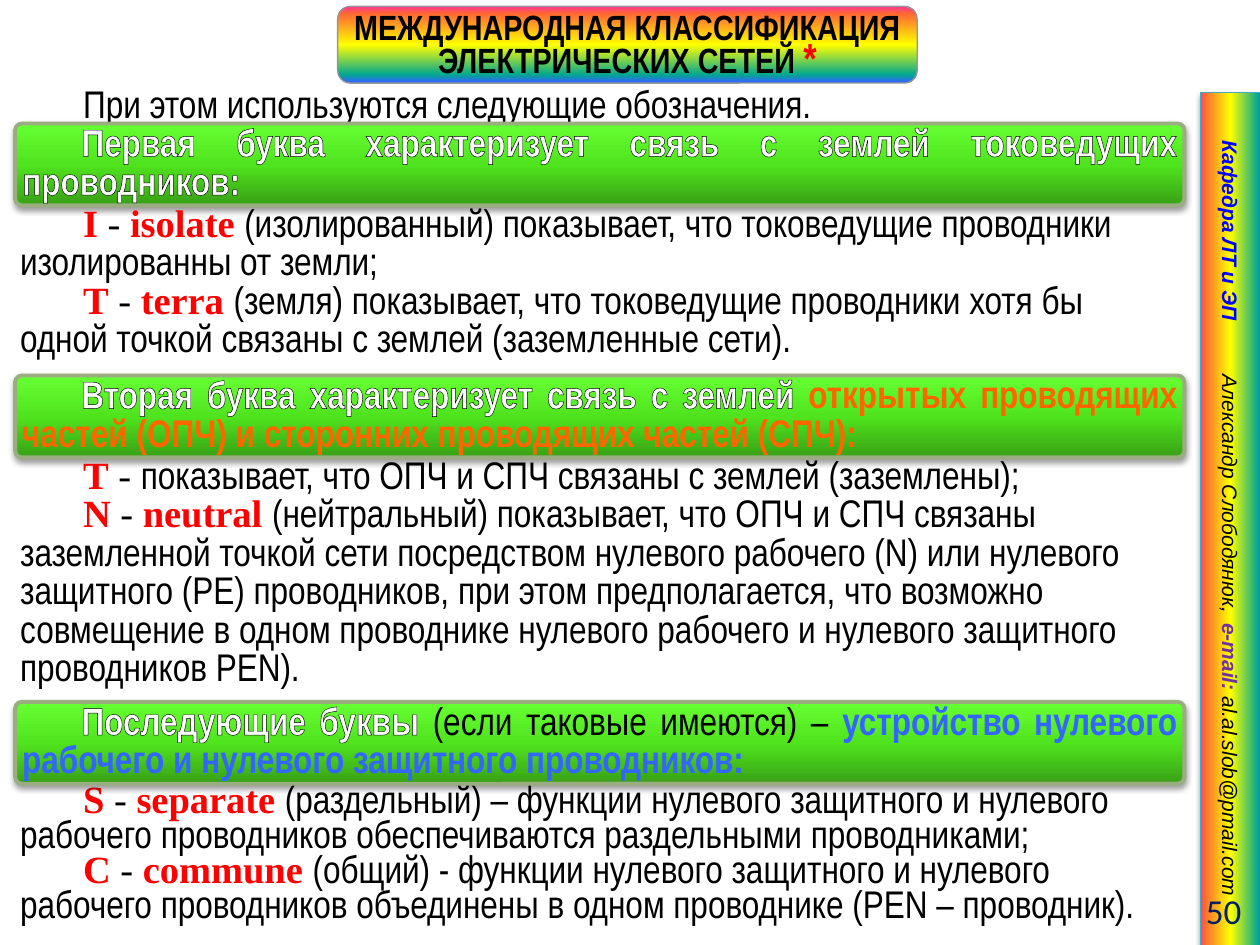
from dataclasses import dataclass

from lxml.etree import SubElement
from pptx import Presentation
from pptx.dml.color import RGBColor
from pptx.enum.shapes import MSO_SHAPE
from pptx.enum.text import MSO_ANCHOR, MSO_AUTO_SIZE, PP_ALIGN
from pptx.oxml.ns import qn
from pptx.util import Inches, Pt

BLACK = RGBColor(0x00, 0x00, 0x00)
WHITE = RGBColor(0xFF, 0xFF, 0xFF)
RED = RGBColor(0xFF, 0x00, 0x00)
ORANGE = RGBColor(0xFF, 0x66, 0x00)
BLUE = RGBColor(0x33, 0x66, 0xFF)
DEEP_BLUE = RGBColor(0x00, 0x00, 0xFF)
PURPLE = RGBColor(0x70, 0x30, 0xA0)
NAVY = RGBColor(0x00, 0x20, 0x60)
PINK = RGBColor(0xFF, 0x33, 0x99)
CORAL = RGBColor(0xFF, 0x66, 0x33)
YELLOW = RGBColor(0xFF, 0xFF, 0x00)
TEAL = RGBColor(0x01, 0xA7, 0x8F)
GREEN_DARK = RGBColor(0x38, 0xA0, 0x15)
GREEN = RGBColor(0x50, 0xE4, 0x1E)
GREEN_LIGHT = RGBColor(0x66, 0xFF, 0x33)
BANNER_EDGE = RGBColor(0x99, 0xAD, 0x80)
TITLE_EDGE = RGBColor(0x96, 0x96, 0x96)
SIDEBAR_EDGE = RGBColor(0x46, 0xAA, 0xC5)

NARROW, SERIF = "Arial Narrow", "Times New Roman"
BANNER_STOPS = [(0, GREEN_DARK), (50, GREEN), (100, GREEN_LIGHT)]


def rainbow(*positions):
    return list(zip(positions, (PINK, CORAL, YELLOW, TEAL, BLUE)))


@dataclass
class Run:
    text: str
    color: RGBColor = BLACK
    bold: bool = False
    font: str = None
    size: float = None
    outline: float = 0
    opacity: int = 100


def term(letter, word, meaning):
    """A red letter, its red word and the explanation."""
    runs = [Run(letter, RED, True, SERIF, outline=1), Run(" - ", font=SERIF)]
    if word:
        runs.append(Run(word + " ", RED, True, SERIF, outline=1))
    return runs + [Run(meaning)]


def add_color(parent, color, opacity=100):
    node = SubElement(parent, qn("a:srgbClr"), val=str(color))
    if opacity < 100:
        SubElement(node, qn("a:alpha"), val=str(opacity * 1000))


@dataclass
class SlideBuilder:
    slide: object
    font: str = NARROW
    size: float = 22
    inset: float = 0.04

    def frame(self, shape, bottom=0.04):
        frame = shape.text_frame
        frame.word_wrap = True
        frame.vertical_anchor = MSO_ANCHOR.MIDDLE
        frame.margin_left = frame.margin_right = frame.margin_top = Inches(self.inset)
        frame.margin_bottom = Inches(bottom)
        return frame

    def fill_text(self, frame, paragraphs, align=PP_ALIGN.LEFT, indent=0.0,
                  leading=None, size=None, font=None, italic=None):
        for number, runs in enumerate(paragraphs):
            paragraph = frame.add_paragraph() if number else frame.paragraphs[0]
            paragraph.alignment = align
            paragraph.font.size = Pt(size or self.size)
            paragraph.font.name = font or self.font
            paragraph.font.italic = italic
            if leading:
                paragraph.line_spacing = Pt(leading)
            if indent:
                properties = paragraph._p.get_or_add_pPr()
                properties.set("marL", "0")
                properties.set("indent", str(Inches(indent)))
            for part in runs:
                run = paragraph.add_run()
                run.text = part.text
                run.font.bold = part.bold
                run.font.color.rgb = part.color
                if part.font:
                    run.font.name = part.font
                if part.size:
                    run.font.size = Pt(part.size)
                if part.outline:
                    self.outline(run, part)

    def outline(self, run, part):
        properties = run._r.get_or_add_rPr()
        line = SubElement(properties, qn("a:ln"), w=str(Pt(part.outline)))
        add_color(SubElement(line, qn("a:solidFill")), BLACK, part.opacity)
        properties.insert(0, line)

    def panel(self, kind, box, stops, angle, edge, width, shadow=False):
        shape = self.slide.shapes.add_shape(kind, *map(Inches, box))
        shape.shadow.inherit = False
        shape.line.color.rgb = edge
        shape.line.width = Pt(width)
        # Gradient with any number of stops
        shape.fill.gradient()
        gradient = shape._element.spPr.find(qn("a:gradFill"))
        for child in list(gradient):
            gradient.remove(child)
        stop_list = SubElement(gradient, qn("a:gsLst"))
        for position, color in stops:
            add_color(SubElement(stop_list, qn("a:gs"), pos=str(position * 1000)), color)
        SubElement(gradient, qn("a:lin"), ang=str(angle * 60000), scaled="0")
        if shadow:
            effects = shape._element.spPr.find(qn("a:effectLst"))
            drop = SubElement(effects, qn("a:outerShdw"), blurRad=str(Pt(3.1)),
                              dist=str(Pt(1.6)), dir="5400000", rotWithShape="0")
            add_color(drop, BLACK, 38)
        return shape

    def banner(self, top, runs):
        shape = self.panel(MSO_SHAPE.ROUNDED_RECTANGLE, (0.12, top, 9.28, 0.65),
                           BANNER_STOPS, 270, BANNER_EDGE, 2.25, shadow=True)
        shape.adjustments[0] = 0.083
        self.fill_text(self.frame(shape), [runs], PP_ALIGN.JUSTIFY, 0.47, 22)

    def body(self, top, height, paragraphs, leading=22, align=PP_ALIGN.LEFT, grow=True):
        box = self.slide.shapes.add_textbox(
            Inches(0.12), Inches(top), Inches(9.27 if grow else 9.3), Inches(height))
        frame = self.frame(box, 0.04 if grow else 0)
        if grow:
            frame.auto_size = MSO_AUTO_SIZE.SHAPE_TO_FIT_TEXT
        self.fill_text(frame, paragraphs, align, 0.5, leading)

    def title(self, runs):
        shape = self.panel(MSO_SHAPE.ROUNDED_RECTANGLE, (2.68, 0.05, 4.6, 0.61),
                           rainbow(0, 9, 50, 89, 99), 90, TITLE_EDGE, 0.75)
        self.fill_text(self.frame(shape, 0), [runs], PP_ALIGN.CENTER, leading=20, size=20)

    def sidebar(self, runs, tabs):
        shape = self.panel(MSO_SHAPE.RECTANGLE, (6.38, 3.88, 6.77, 0.48),
                           rainbow(0, 6, 50, 96, 100), 270, SIDEBAR_EDGE, 0.75, shadow=True)
        shape.rotation = 90
        frame = self.frame(shape)
        frame.margin_left = Inches(0.38)
        self.fill_text(frame, [runs], size=12, font="Arial", italic=True)
        properties = frame.paragraphs[0]._p.get_or_add_pPr()
        tab_list = SubElement(properties, qn("a:tabLst"))
        for position in tabs:
            SubElement(tab_list, qn("a:tab"), pos=str(Inches(position)), algn="l")
        properties.find(qn("a:defRPr")).addprevious(tab_list)

    def page_number(self, number):
        box = self.slide.shapes.add_textbox(Inches(8.86), Inches(7.03), Inches(1.09), Inches(0.4))
        frame = self.frame(box)
        frame.margin_right = Inches(0.1)
        self.fill_text(frame, [[Run(number, NAVY)]], PP_ALIGN.RIGHT, size=20, font="Calibri")


def main():
    deck = Presentation()
    deck.slide_width, deck.slide_height = Inches(10), Inches(7.5)
    page = SlideBuilder(deck.slides.add_slide(deck.slide_layouts[6]))

    # Author strip and page number
    page.sidebar([Run("Кафедра ЛТ и ЭП\t", DEEP_BLUE, True), Run("Александр Слободянюк,\t"),
                  Run("e-mail: ", PURPLE, True), Run("al.al.slob@pmail.com")], (1.86, 3.83))
    page.page_number("50")

    # Meanings of the following letters
    page.body(6.19, 1.17, [
        term("S", "separate", "(раздельный) – функции нулевого защитного и нулевого рабочего "
             "проводников обеспечиваются раздельными проводниками;"),
        term("C", "commune", "(общий) - функции нулевого защитного и нулевого рабочего "
             "проводников объединены в одном проводнике (PEN – проводник)."),
    ], leading=20, grow=False)

    # Introduction
    page.body(0.65, 0.39, [[Run("При этом используются следующие обозначения.")]],
              align=PP_ALIGN.JUSTIFY)

    # First letter
    page.banner(0.98, [Run("Первая буква характеризует связь с землей токоведущих "
                           "проводников: ", WHITE, True, outline=1)])
    page.body(1.58, 1.34, [
        term("I", "isolate", "(изолированный) показывает, что токоведущие проводники "
             "изолированны от земли;"),
        term("T", "terra", "(земля) показывает, что токоведущие проводники хотя бы одной "
             "точкой связаны с землей (заземленные сети)."),
    ])

    # Second letter
    page.banner(2.98, [
        Run("Вторая буква характеризует связь с землей ", WHITE, True, outline=1),
        Run("открытых проводящих частей (ОПЧ) и сторонних проводящих частей (СПЧ):",
            ORANGE, True, outline=0.07, opacity=55)])
    page.body(3.59, 1.93, [
        term("T", "", "показывает, что ОПЧ и СПЧ связаны с землей (заземлены);"),
        term("N", "neutral", "(нейтральный) показывает, что ОПЧ и СПЧ связаны заземленной "
             "точкой сети посредством нулевого рабочего (N) или нулевого защитного (PE) "
             "проводников, при этом предполагается, что возможно совмещение в одном "
             "проводнике нулевого рабочего и нулевого защитного проводников PEN)."),
    ])

    # Following letters
    page.banner(5.57, [
        Run("Последующие буквы ", WHITE, True, outline=1), Run("(если таковые имеются) – "),
        Run("устройство нулевого рабочего и нулевого защитного проводников: ",
            BLUE, True, outline=1)])

    # Title
    page.title([Run("МЕЖДУНАРОДНАЯ КЛАССИФИКАЦИЯ ЭЛЕКТРИЧЕСКИХ СЕТЕЙ ", bold=True),
                Run("*", RED, True, size=24)])

    deck.save("out.pptx")


if __name__ == "__main__":
    main()
